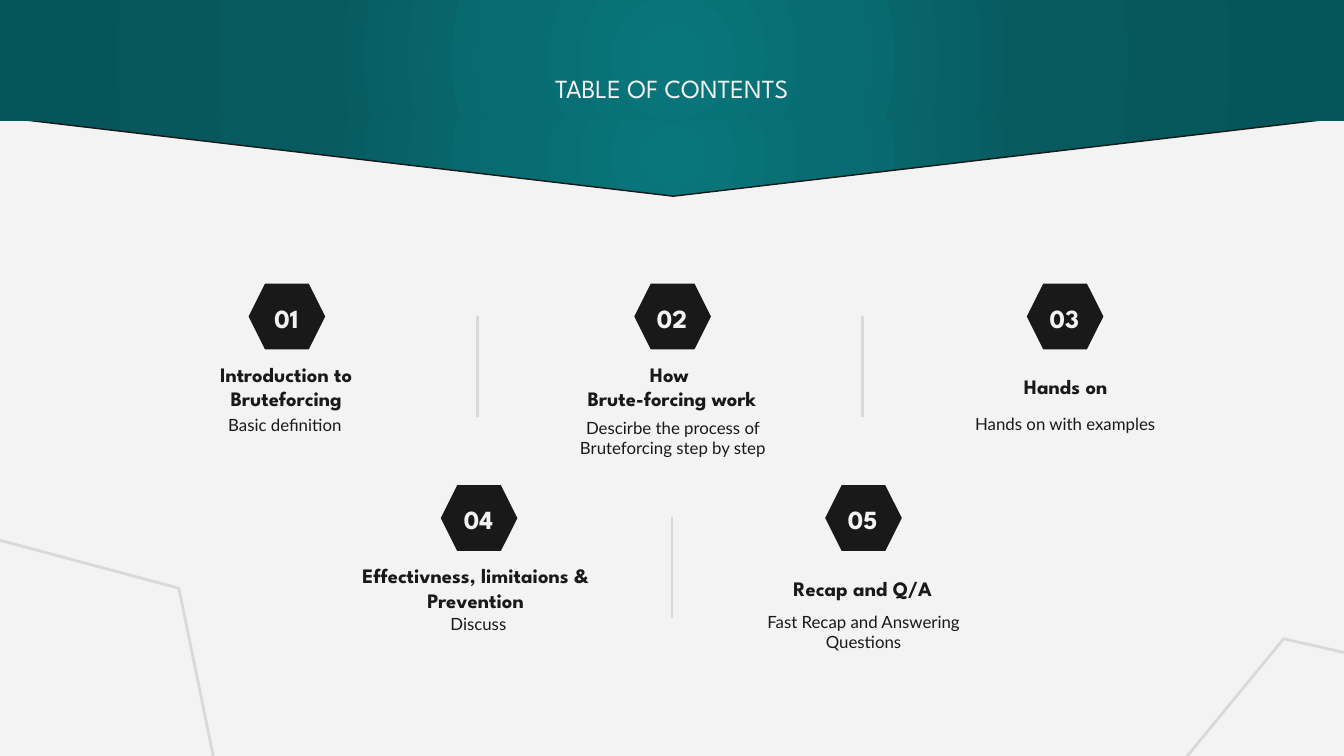
"""Builds a table-of-contents slide with five numbered hexagon entries."""
from copy import deepcopy
from dataclasses import dataclass

from lxml import etree
from pptx import Presentation
from pptx.dml.color import RGBColor
from pptx.enum.shapes import MSO_CONNECTOR, MSO_SHAPE
from pptx.enum.text import MSO_ANCHOR, PP_ALIGN
from pptx.oxml.ns import qn
from pptx.util import Inches, Pt

HEXAGON = MSO_SHAPE.HEXAGON
TRIANGLE = MSO_SHAPE.ISOSCELES_TRIANGLE
RECTANGLE = MSO_SHAPE.RECTANGLE
STRAIGHT = MSO_CONNECTOR.STRAIGHT
TOP, MIDDLE = MSO_ANCHOR.TOP, MSO_ANCHOR.MIDDLE
CENTER = PP_ALIGN.CENTER


@dataclass(frozen=True)
class Theme:
    paper: str = "F3F3F3"
    ink: str = "191919"
    rule: str = "D9D9D9"
    banner: tuple = ((0, "09767C"), (23, "086D72"), (52, "075B60"), (97, "06555A"))
    display: str = "League Spartan"
    body: str = "Lato"
    title_pt: float = 14
    heading_pt: float = 11
    note_pt: float = 9
    rule_pt: float = 1.5
    edge_pt: float = 0.75


@dataclass(frozen=True)
class Entry:
    number: str
    heading: str
    note: str
    x: float
    top: float
    heading_x: float
    heading_w: float
    note_x: float
    note_top: float


THEME = Theme()
ENTRIES = (
    Entry("01", "Introduction to Bruteforcing", "Basic definition ",
          2.13, 2.11, 2.13, 1.75, 2.13, 3.01),
    Entry("02", "How \vBrute-forcing work",
          "Descirbe the process of Bruteforcing step by step",
          5, 2.11, 5, 1.75, 5, 3.01),
    Entry("03", "Hands on", "Hands on with examples",
          7.92, 2.11, 7.93, 2.01, 7.92, 3),
    Entry("04", "Effectivness, limitaions & Prevention", "Discuss ",
          3.56, 3.61, 3.54, 1.96, 3.57, 4.49),
    Entry("05", "Recap and Q/A", "Fast Recap and Answering Questions",
          6.42, 3.61, 6.42, 1.75, 6.42, 4.45),
)
DIVIDERS = ((3.55, 2.35), (6.42, 2.35), (5, 3.85))
OUTLINES = ((-1.56, 4.08, 15), (8.29, 5.05, 309.4))


def rgb(color: str) -> RGBColor:
    return RGBColor.from_string(color)


def add_shape(s, kind, x: float, y: float, w: float, h: float, *, fill: str = "",
              line: str = "", line_pt: float = 0, rotation: float = 0):
    sp = s.shapes.add_shape(kind, Inches(x), Inches(y), Inches(w), Inches(h))
    sp.shadow.inherit = False
    sp.rotation = rotation
    if fill:
        sp.fill.solid()
        sp.fill.fore_color.rgb = rgb(fill)
    else:
        sp.fill.background()
    if line:
        sp.line.color.rgb = rgb(line)
        sp.line.width = Pt(line_pt)
    else:
        sp.line.fill.background()
    return sp


def fill_radial(sp, stops: tuple) -> None:
    grad = etree.Element(qn("a:gradFill"), rotWithShape="1")
    stop_list = etree.SubElement(grad, qn("a:gsLst"))
    for position, color in stops:
        stop = etree.SubElement(stop_list, qn("a:gs"), pos=str(position * 1000))
        etree.SubElement(stop, qn("a:srgbClr"), val=color)
    circle = etree.SubElement(grad, qn("a:path"), path="circle")
    etree.SubElement(circle, qn("a:fillToRect"),
                     {side: "50000" for side in ("l", "t", "r", "b")})
    props = sp._element.spPr
    props.replace(props.find(qn("a:noFill")), grad)


def add_text(s, text: str, x: float, y: float, w: float, h: float, *, size: float,
             color: str, font: str = THEME.display, bold: bool = False,
             anchor=MIDDLE) -> None:
    tf = s.shapes.add_textbox(Inches(x), Inches(y), Inches(w), Inches(h)).text_frame
    tf.word_wrap = True
    tf.vertical_anchor = anchor
    tf.margin_left = tf.margin_right = tf.margin_top = tf.margin_bottom = Inches(0.1)
    p = tf.paragraphs[0]
    p.text = text
    p.alignment = CENTER
    for r in p.runs:
        r.font.name = font
        r.font.size = Pt(size)
        r.font.bold = bold
        r.font.color.rgb = rgb(color)
    for line_break in p._p.findall(qn("a:br")):
        line_break.append(deepcopy(p.runs[0]._r.get_or_add_rPr()))


def add_divider(s, x: float, y: float) -> None:
    line = s.shapes.add_connector(STRAIGHT, Inches(x), Inches(y),
                                  Inches(x), Inches(y + 0.75))
    line.line.color.rgb = rgb(THEME.rule)
    line.line.width = Pt(THEME.rule_pt)
    etree.SubElement(line._element.spPr, qn("a:effectLst"))


def add_entry(s, entry: Entry) -> None:
    add_shape(s, HEXAGON, entry.x - 0.28, entry.top, 0.57, 0.49, fill=THEME.ink)
    add_text(s, entry.number, entry.x - 0.41, entry.top + 0.09, 0.82, 0.33,
             size=THEME.title_pt, color=THEME.paper, bold=True)
    add_text(s, entry.heading, entry.heading_x - entry.heading_w / 2,
             entry.top + 0.45, entry.heading_w, 0.63,
             size=THEME.heading_pt, color=THEME.ink, bold=True)
    add_text(s, entry.note, entry.note_x - 1.07, entry.note_top, 2.15, 0.63,
             size=THEME.note_pt, color=THEME.ink, font=THEME.body, anchor=TOP)


def add_banner(s) -> None:
    point = add_shape(s, TRIANGLE, -0.01, 0.87, 10.04, 0.59, rotation=180,
                      line=THEME.ink, line_pt=THEME.edge_pt)
    band = add_shape(s, RECTANGLE, -0.01, -0.04, 10.04, 0.94)
    for sp in (point, band):
        fill_radial(sp, THEME.banner)
    add_text(s, "TABLE OF CONTENTS", 3.37, 0.44, 3.26, 0.75,
             size=THEME.title_pt, color=THEME.paper, anchor=TOP)


def main() -> None:
    prs = Presentation()
    prs.slide_width = Inches(10)
    prs.slide_height = Inches(10 * 9 / 16)
    s = prs.slides.add_slide(prs.slide_layouts[6])
    s.background.fill.solid()
    s.background.fill.fore_color.rgb = rgb(THEME.paper)
    add_banner(s)
    for x, y in DIVIDERS:
        add_divider(s, x, y)
    for entry in ENTRIES:
        add_entry(s, entry)
    for x, y, rotation in OUTLINES:
        add_shape(s, HEXAGON, x, y, 3.23, 2.53, rotation=rotation,
                  line=THEME.rule, line_pt=THEME.rule_pt)
    prs.save("out.pptx")


if __name__ == "__main__":
    main()
